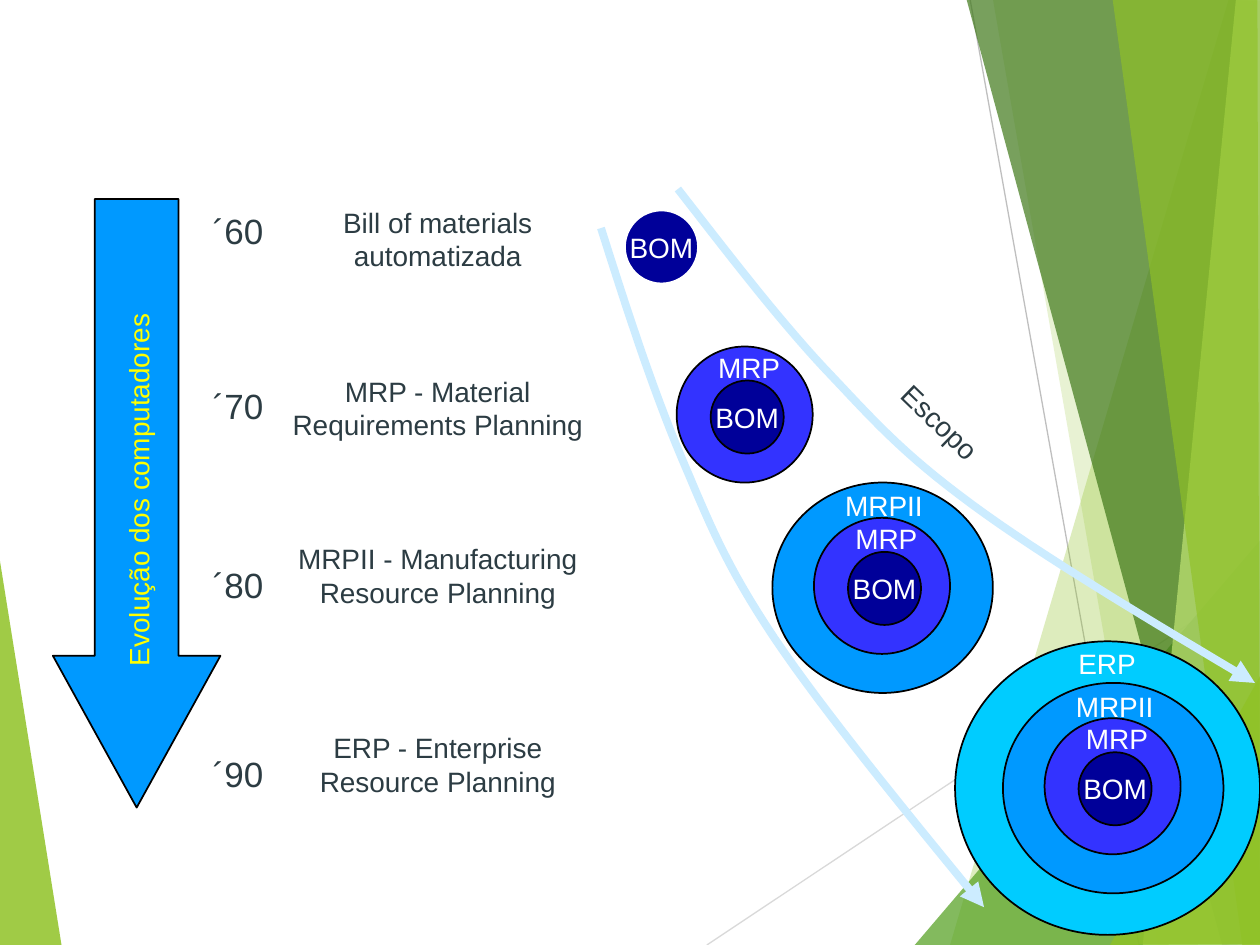
from lxml import etree
from pptx import Presentation
from pptx.dml.color import RGBColor
from pptx.enum.shapes import MSO_CONNECTOR, MSO_SHAPE
from pptx.enum.text import MSO_ANCHOR, MSO_AUTO_SIZE, PP_ALIGN
from pptx.oxml.ns import qn
from pptx.util import Inches, Pt

STRAIGHT = MSO_CONNECTOR.STRAIGHT
OVAL, DOWN_ARROW = MSO_SHAPE.OVAL, MSO_SHAPE.DOWN_ARROW
LEFT, CENTER = PP_ALIGN.LEFT, PP_ALIGN.CENTER
MIDDLE = MSO_ANCHOR.MIDDLE
FIT_SHAPE = MSO_AUTO_SIZE.SHAPE_TO_FIT_TEXT

COLORS = {
    "lime": "90C226", "green": "54A021", "forest": "3F7819", "pale": "C0E474",
    "light gray": "D9D9D9", "gray": "BFBFBF", "slate": "2C3C43",
    "black": "000000", "white": "FFFFFF", "yellow": "FFFF00", "ice": "CCECFF",
    "cyan": "00CCFF", "azure": "0099FF", "indigo": "3333FF", "navy": "000099",
}
RGB = {name: RGBColor.from_string(value) for name, value in COLORS.items()}


def write(frame, lines, color, size=16, align=LEFT):
    frame.word_wrap = False
    for index, line in enumerate(lines):
        para = frame.paragraphs[0] if index == 0 else frame.add_paragraph()
        para.alignment = align
        span = para.add_run()
        span.text = line
        span.font.name = "Arial"
        span.font.size = Pt(size)
        span.font.color.rgb = RGB[color]


def add_label(left, top, width, height, lines, color, size=16, align=LEFT):
    box = page.shapes.add_textbox(Inches(left), Inches(top), Inches(width), Inches(height))
    box.text_frame.auto_size = FIT_SHAPE
    write(box.text_frame, lines, color, size, align)
    return box


deck = Presentation()
deck.slide_width, deck.slide_height = Inches(10), Inches(7.5)
page = deck.slides.add_slide(deck.slide_layouts[6])

for start, end, color in [
    ((5.61, 7.5), (10.01, 4.57), "light gray"),
    ((7.7, 0), (9.04, 7.5), "gray"),
]:
    line = page.shapes.add_connector(STRAIGHT, *map(Inches, start + end))
    line.line.color.rgb = RGB[color]
    line.line.width = Pt(0.75)
    etree.SubElement(line.element.spPr, qn("a:effectLst"))

facets = [
    ("lime", 85, [(-0.01, 4.39), (0.49, 7.51), (-0.01, 7.5)]),
    ("lime", 30, [(9.75, 0), (7.54, 7.5), (10.02, 7.51), (10.01, 0.01)]),
    ("lime", 20, [(7.88, -0.01), (9.19, 7.5), (10.01, 7.5), (10.01, -0.01)]),
    ("green", 72, [(7.26, 7.5), (10, 4.29), (10.01, 7.5)]),
    ("forest", 70, [(7.67, -0.01), (9.7, 7.5), (10.01, 7.49), (10.01, -0.01)]),
    ("pale", 70, [(9.81, -0.01), (9.07, 7.5), (10.01, 7.5), (10, -0.01)]),
    ("lime", 65, [(8.83, -0.01), (9.86, 7.5), (10, 7.5), (9.98, -0.01)]),
    ("lime", 80, [(8.81, 7.5), (10.01, 5.35), (10.01, 7.49)]),
]
for color, opacity, corners in facets:
    points = [(Inches(x), Inches(y)) for x, y in corners]
    builder = page.shapes.build_freeform(*points[0])
    builder.add_line_segments(points[1:], close=True)
    facet = builder.convert_to_shape()
    facet.shadow.inherit = False
    facet.fill.solid()
    facet.fill.fore_color.rgb = RGB[color]
    facet.line.fill.background()
    tint = facet.element.spPr.find(qn("a:solidFill")).find(qn("a:srgbClr"))
    etree.SubElement(tint, qn("a:alpha"), val=str(opacity * 1000))

arrow = page.shapes.add_shape(DOWN_ARROW, Inches(0.42), Inches(1.58), Inches(1.33), Inches(4.83))
arrow.adjustments[0], arrow.adjustments[1] = 0.5, 0.906
arrow.shadow.inherit = False
arrow.fill.solid()
arrow.fill.fore_color.rgb = RGB["azure"]
arrow.line.color.rgb = RGB["black"]
arrow.line.width = Pt(1)
add_label(-0.52, 3.58, 3.24, 0.37, ["Evolução dos computadores"], "yellow").rotation = 270

decades = [
    ("´60", 1.61, 1.58, ["Bill of materials", "automatizada"]),
    ("´70", 3, 2.92, ["MRP - Material", "Requirements Planning"]),
    ("´80", 4.42, 4.25, ["MRPII - Manufacturing", "Resource Planning"]),
    ("´90", 5.92, 5.75, ["ERP - Enterprise", "Resource Planning"]),
]
for decade, decade_top, stage_top, stage in decades:
    add_label(1.59, decade_top, 0.6, 0.43, [decade], "slate", size=20)
    add_label(2.21, stage_top, 2.53, 0.64, stage, "slate", align=CENTER)

# name, fill, ring offset, ring size, label offset, label width
RINGS = [
    ("BOM", "navy", (0, 0), (0.58, 0.58), None, None),
    ("MRP", "indigo", (-0.27, -0.27), (1.08, 1.08), (-0.04, -0.29), 0.69),
    ("MRPII", "azure", (-0.6, -0.55), (1.75, 1.67), (-0.12, -0.55), 0.82),
    ("ERP", "cyan", (-0.98, -0.88), (2.42, 2.33), (-0.1, -0.89), 0.66),
]
cores = [(4.96, 1.67), (5.64, 3.02), (6.73, 4.38), (8.56, 5.97)]
for count, (core_left, core_top) in enumerate(cores, start=1):
    for name, color, (dx, dy), size, label_offset, label_width in reversed(RINGS[:count]):
        ring = page.shapes.add_shape(
            OVAL, Inches(core_left + dx), Inches(core_top + dy), *map(Inches, size))
        ring.shadow.inherit = False
        ring.fill.solid()
        ring.fill.fore_color.rgb = RGB[color]
        ring.line.color.rgb = RGB["white" if count == 1 else "black"]
        ring.line.width = Pt(1)
        if label_offset is None:
            ring.text_frame.vertical_anchor = MIDDLE
            write(ring.text_frame, [name], "white", align=CENTER)
    for name, color, offset, size, (dx, dy), label_width in RINGS[1:count]:
        add_label(core_left + dx, core_top + dy, label_width, 0.37, [name], "white")

STEPS = 16
scope_curves = [
    [(5.38, 1.5), (5.77, 2), (6.15, 2.5), (6.54, 2.92), (6.93, 3.33),
     (7.14, 3.58), (7.71, 4), (8.28, 4.42), (9.12, 4.92), (9.96, 5.42)],
    [(4.77, 1.81), (4.97, 2.44), (5.17, 3.06), (5.4, 3.61), (5.63, 4.15),
     (5.75, 4.47), (6.15, 5.07), (6.55, 5.66), (7.18, 6.43), (7.81, 7.2)],
]
for controls in scope_curves:
    points = []
    for first in range(0, len(controls) - 1, 3):
        for step in range(1, STEPS + 1):
            t = step / STEPS
            weights = [(1 - t) ** 3, 3 * t * (1 - t) ** 2, 3 * t ** 2 * (1 - t), t ** 3]
            points.append(tuple(
                Inches(sum(w * p[axis] for w, p in zip(weights, controls[first:first + 4])))
                for axis in (0, 1)))
    builder = page.shapes.build_freeform(*map(Inches, controls[0]))
    builder.add_line_segments(points, close=False)
    curve = builder.convert_to_shape()
    curve.shadow.inherit = False
    curve.fill.background()
    curve.line.color.rgb = RGB["ice"]
    curve.line.width = Pt(4.5)
    outline = curve.element.spPr.find(qn("a:ln"))
    etree.SubElement(outline, qn("a:round"))
    etree.SubElement(outline, qn("a:tailEnd"), type="triangle")

add_label(6.99, 3.17, 0.95, 0.37, ["Escopo"], "slate").rotation = 44.1

deck.save("out.pptx")
